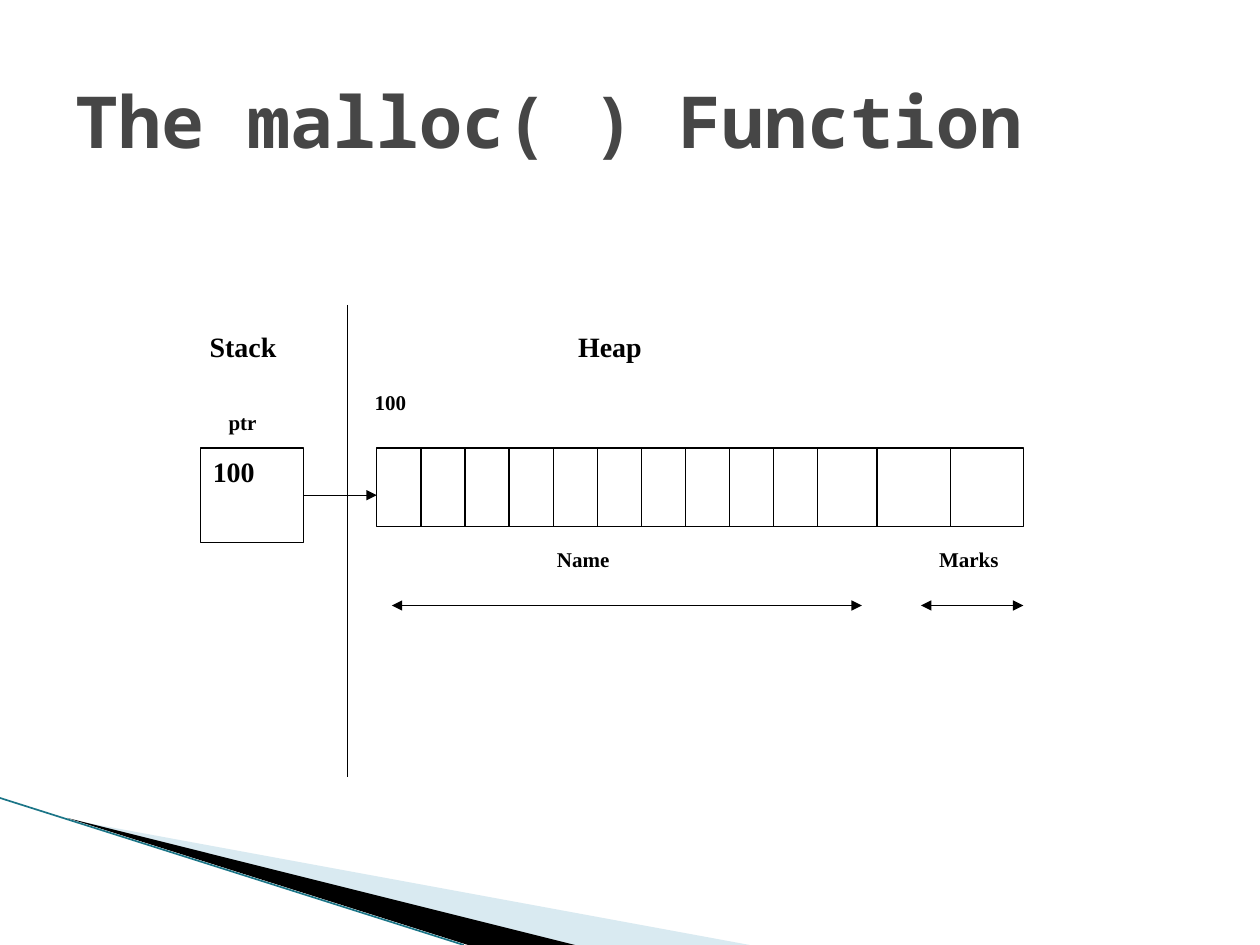
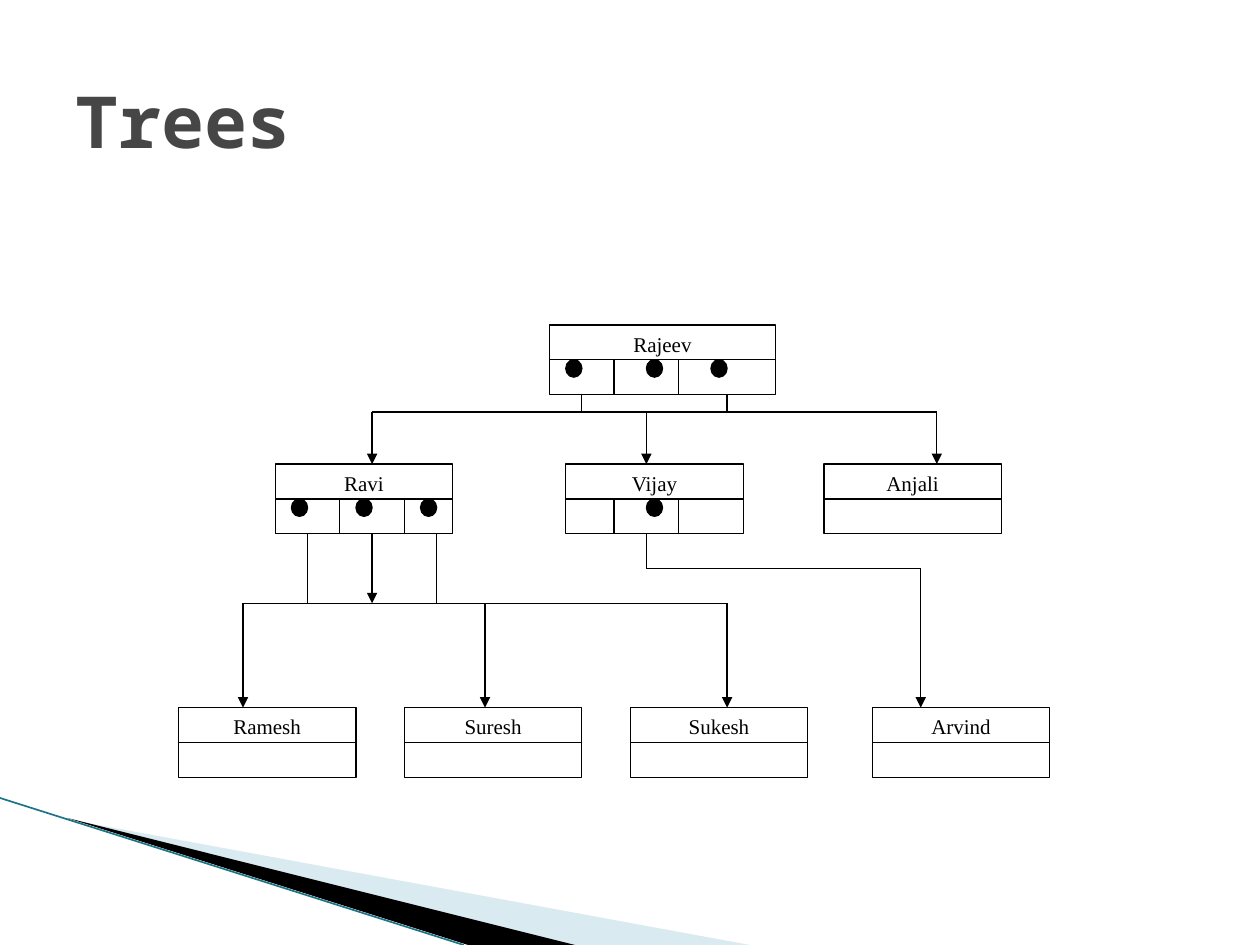
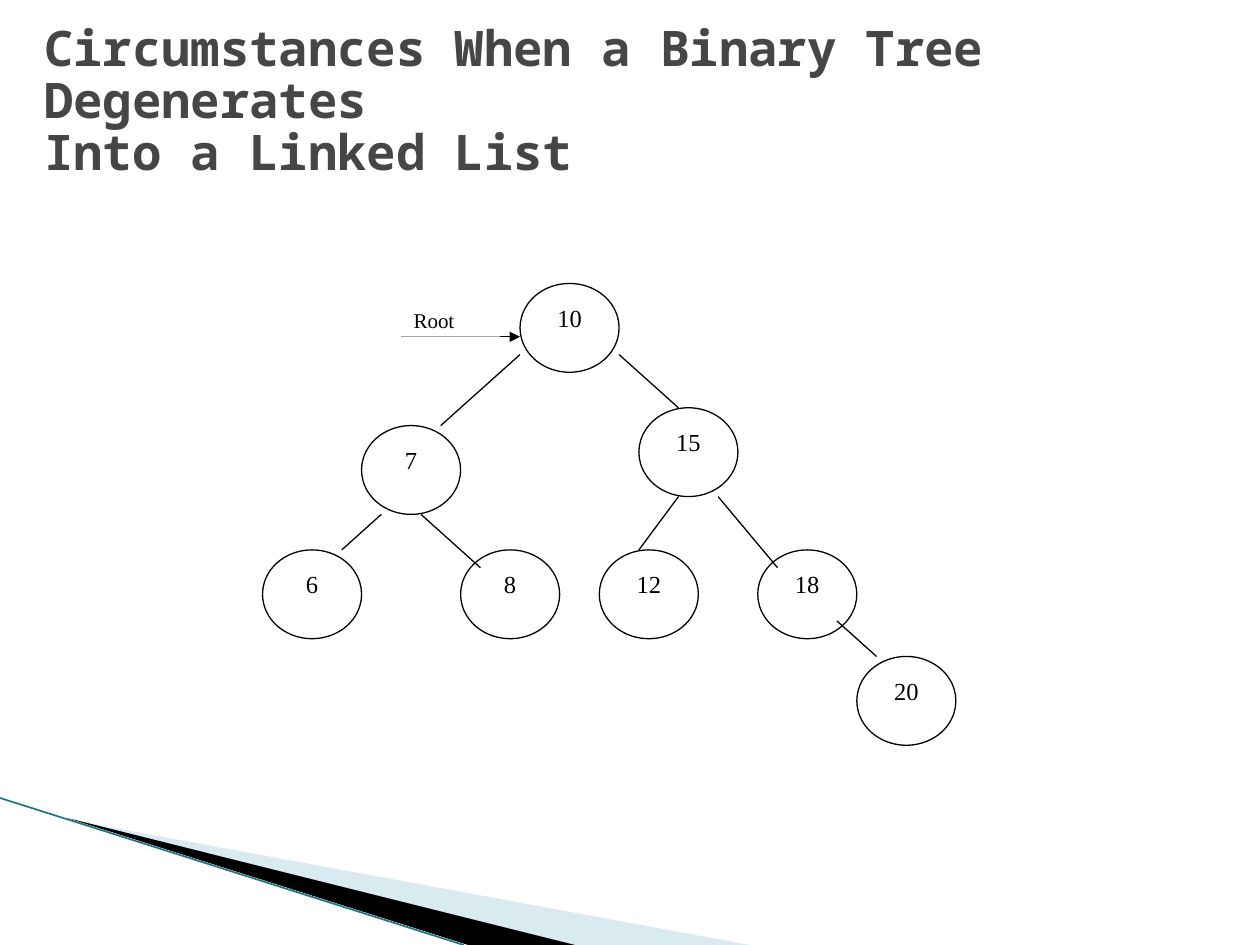
from lxml.etree import SubElement
from pptx import Presentation
from pptx.dml.color import RGBColor
from pptx.enum.shapes import MSO_CONNECTOR, MSO_SHAPE
from pptx.enum.text import MSO_ANCHOR, MSO_AUTO_SIZE, PP_ALIGN
from pptx.oxml.ns import qn
from pptx.util import Pt

BLACK, WHITE, GREY = "000000", "FFFFFF", "464646"
PALE, TEAL = "A0CBDC", "1B7587"
MONO, SERIF = "Noto Sans Mono", "Times New Roman"
LEFT, MID = PP_ALIGN.LEFT, PP_ALIGN.CENTER
RECT, OVAL = MSO_SHAPE.RECTANGLE, MSO_SHAPE.OVAL
hue = RGBColor.from_string


def node(slide, grid, kind, box, text="", size=12, bold=False,
         align=MID, fill=WHITE, edge=True):
    """Add a shape; box is left, top, width, height in grid steps."""
    x0, y0, dx, dy = grid
    left, top, wide, high = box
    shape = slide.shapes.add_shape(
        kind, Pt(x0 + left * dx), Pt(y0 + top * dy), Pt(wide * dx), Pt(high * dy))
    shape.shadow.inherit = False
    shape.fill.solid()
    shape.fill.fore_color.rgb = hue(fill)
    if edge:
        shape.line.color.rgb = hue(BLACK)
        shape.line.width = Pt(0.75)
    else:
        shape.line.fill.background()
    if text:
        frame = shape.text_frame
        frame.text = text
        frame.word_wrap = True
        frame.vertical_anchor = MSO_ANCHOR.TOP
        frame.paragraphs[0].alignment = align
        font = frame.paragraphs[0].runs[0].font
        font.name, font.size, font.bold = SERIF, Pt(size), bold
        font.color.rgb = hue(BLACK)
    return shape


def link(slide, grid, ends, tips="", color=BLACK, width=0.75):
    """Add a line; ends is x1, y1, x2, y2 in grid steps, tips names its arrowheads."""
    x0, y0, dx, dy = grid
    x1, y1, x2, y2 = ends
    line = slide.shapes.add_connector(
        MSO_CONNECTOR.STRAIGHT, Pt(x0 + x1 * dx), Pt(y0 + y1 * dy),
        Pt(x0 + x2 * dx), Pt(y0 + y2 * dy))
    line.line.color.rgb = hue(color)
    line.line.width = Pt(width)
    for tip in ("head", "tail"):
        if tip in tips:
            SubElement(line.get_or_add_ln(), qn(f"a:{tip}End"), type="triangle")
    SubElement(line.element.spPr, qn("a:effectLst"))
    return line


deck = Presentation()
deck.slide_width, deck.slide_height = Pt(720), Pt(540)
layout = deck.slide_layouts[5]
points = (0, 0, 1, 1)

# Titles
titles = [
    ("The malloc( ) Function", (36, 21.6, 648, 90), 41, 1),
    ("Trees", (36, 21.6, 648, 90), 41, 1),
    ("Circumstances When a Binary Tree Degenerates \vInto a Linked List",
     (18, 18, 612, 78), 28, 0.88),
]
slides = []
for text, box, size, pitch in titles:
    slide = deck.slides.add_slide(layout)
    title = slide.shapes.title
    title.left, title.top, title.width, title.height = map(Pt, box)
    frame = title.text_frame
    frame.text = text
    frame.word_wrap = True
    frame.auto_size = MSO_AUTO_SIZE.NONE
    frame.vertical_anchor = MSO_ANCHOR.MIDDLE
    frame.margin_bottom = 0
    para = frame.paragraphs[0]
    para.alignment = LEFT
    para.line_spacing = pitch
    for run in para.runs:
        run.font.name, run.font.size, run.font.bold = MONO, Pt(size), True
        run.font.color.rgb = hue(GREY)
    slides.append(slide)
heap, tree, chain = slides

# Corner wedges, moved to the layout that all slides share
decor = []
wedges = [
    (PALE, [(39.6, 468.4), (428.4, 540), (328.3, 540)]),
    (BLACK, [(38.4, 467.4), (328.6, 540), (267.5, 540)]),
]
for color, corners in wedges:
    spots = [(Pt(x), Pt(y)) for x, y in corners]
    path = heap.shapes.build_freeform(*spots[0])
    path.add_line_segments(spots[1:])
    wedge = path.convert_to_shape()
    wedge.shadow.inherit = False
    wedge.fill.solid()
    wedge.fill.fore_color.rgb = hue(color)
    wedge.line.fill.background()
    if color == PALE:
        tint = wedge.element.spPr.find(".//" + qn("a:srgbClr"))
        SubElement(tint, qn("a:alpha"), val="40000")
    decor.append(wedge)
decor.append(link(heap, points, (0, 456, 265, 540), color=TEAL, width=0.95))
for place, part in enumerate(decor, 2):
    layout.shapes.element.insert(place, part.element)

# Stack and heap
labels = [
    ("ptr", (112.3, 230.4, 52.6, 33.8), 12, MID),
    ("Stack", (102.2, 185, 73.4, 33.8), 16, MID),
    ("Heap", (311.8, 185, 73.4, 33.8), 16, MID),
    ("Name", (280.8, 308.9, 105, 33.8), 12, MID),
    ("Marks", (501.1, 308.9, 105, 33.8), 12, MID),
    ("100", (207, 218.9, 42, 33.8), 12, LEFT),
]
for text, box, size, align in labels:
    node(heap, points, RECT, box, text, size, True, align, edge=False)
link(heap, points, (198.6, 174.2, 198.6, 444.2))
cell = node(heap, points, RECT, (114.5, 256, 59, 54), "100", 16, True, LEFT)
node(heap, points, RECT, (215.3, 256, 369.5, 45))
for x in [215.3 + 25.2 * step for step in range(1, 11)] + [501.1, 543]:
    link(heap, points, (x, 256, x, 301))
for start, end in [(223.9, 492.5), (526.3, 584.8)]:
    link(heap, points, (start, 346, end, 346), "head tail")
arrow = link(heap, points, (173.5, 283, 215.3, 283), "tail")
arrow.begin_connect(cell, 3)

# Family tree: name above, pointer fields below
grid = (102, 185.7, 9.22, 9.94)
people = [
    ("Rajeev", 23, 0, 14, (27, 31), (24, 29, 33)),
    ("Ravi", 6, 8, 11, (10, 14), (7, 11, 15)),
    ("Vijay", 24, 8, 11, (27, 31), (29,)),
    ("Anjali", 40, 8, 11, (), ()),
    ("Ramesh", 0, 22, 11, (), ()),
    ("Suresh", 14, 22, 11, (), ()),
    ("Sukesh", 28, 22, 11, (), ()),
    ("Arvind", 43, 22, 11, (), ()),
]
for name, x, y, wide, bars, dots in people:
    node(tree, grid, RECT, (x, y, wide, 4), name)
    link(tree, grid, (x, y + 2, x + wide, y + 2))
    for bar in bars:
        link(tree, grid, (bar, y + 2, bar, y + 4))
    for dot in dots:
        node(tree, grid, OVAL, (dot, y + 2, 1, 1), fill=BLACK)
plain = [
    (12, 5, 47, 5), (25, 4, 25, 5), (34, 4, 34, 5),
    (4, 16, 34, 16), (8, 12, 8, 16), (16, 12, 16, 16),
    (29, 12, 29, 14), (29, 14, 46, 14),
]
for ends in plain:
    link(tree, grid, ends)
drops = [(12, 5, 8), (29, 5, 8), (47, 5, 8), (12, 12, 16),
         (4, 16, 22), (19, 16, 22), (34, 16, 22), (46, 14, 22)]
for x, top, low in drops:
    link(tree, grid, (x, top, x, low), "tail")

# Binary tree
grid = (150, 162, 11.32, 10.15)
keys = [("10", 13, 0), ("15", 19, 7), ("12", 17, 15), ("7", 5, 8),
        ("8", 10, 15), ("18", 25, 15), ("6", 0, 15), ("20", 30, 21)]
for key, x, y in keys:
    node(chain, grid, OVAL, (x, y, 5, 5), key, 14)
edges = [
    (18, 4, 21, 7), (13, 4, 9, 8), (21, 12, 19, 15), (6, 13, 4, 15),
    (8, 13, 11, 16), (23, 12, 26, 16), (29, 19, 31, 21),
]
for ends in edges:
    link(chain, grid, ends)
link(chain, grid, (7, 3, 13, 3), "tail")
node(chain, grid, RECT, (7, 1, 5, 2), "Root", align=LEFT, edge=False)

deck.save("out.pptx")
